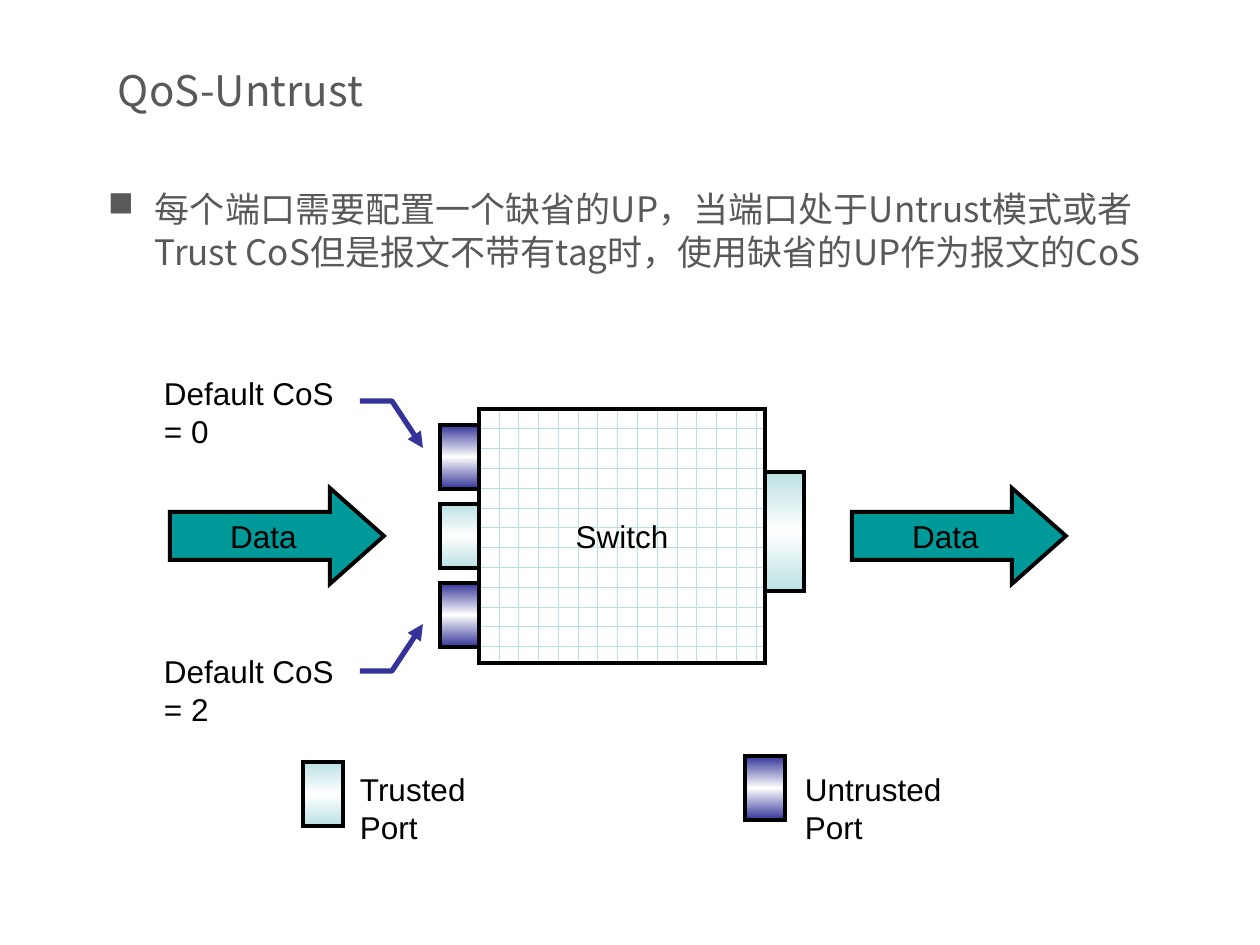
from lxml import etree
from copy import deepcopy
from pptx import Presentation, util as u
from pptx.dml.color import RGBColor
from pptx.enum import dml, shapes, text
from pptx.oxml.ns import qn

PX = u.Inches(1) / 126
COLORS = {
    "grey": "595959", "black": "000000", "white": "FFFFFF",
    "trusted": "BBE0E3", "untrusted": "333399", "data": "009999",
}
LATIN, CHINESE = "Arial", "Noto Sans CJK SC"


def px(*lengths):
    return [round(length * PX) for length in lengths]


def rgb(name):
    return RGBColor.from_string(COLORS[name])


class Sketch:
    """Holds the style and the slide being drawn."""

    def __init__(self, slide):
        self.slide = slide

    def set_text(self, shape, words, font=LATIN, size=18, color="black",
                 insets=(10, 5), wrap=True, anchor=text.MSO_ANCHOR.TOP, align=None):
        frame = shape.text_frame
        frame.word_wrap = wrap
        frame.vertical_anchor = anchor
        across, down = px(*insets)
        frame.margin_left = frame.margin_right = across
        frame.margin_top = frame.margin_bottom = down
        paragraph = frame.paragraphs[0]
        paragraph.text = words
        paragraph.alignment = align
        paragraph.font.name = font
        paragraph.font.size = u.Pt(size)
        paragraph.font.color.rgb = rgb(color)
        east_asian = etree.Element(qn("a:ea"), typeface=font)
        paragraph.font._element.find(qn("a:latin")).addnext(east_asian)
        return paragraph

    def text_box(self, box, words, **style):
        shape = self.slide.shapes.add_textbox(*px(*box))
        return self.set_text(shape, words, **style)

    def bullet(self, box, words, indent, **style):
        paragraph = self.text_box(box, words, **style)
        paragraph.line_spacing = u.Pt(24.3)
        properties = paragraph._p.get_or_add_pPr()
        hanging = px(indent)[0]
        properties.set("marL", str(hanging))
        properties.set("indent", str(-hanging))
        mark = etree.Element(qn("a:buChar"), char="■")
        properties.find(qn("a:defRPr")).addprevious(mark)

    def outlined(self, kind, box, words=None):
        shape = self.slide.shapes.add_shape(kind, *px(*box))
        shape.shadow.inherit = False
        shape.line.color.rgb = rgb("black")
        shape.line.width = u.Pt(2.25)
        etree.SubElement(shape.line._ln, qn("a:miter"), lim="800000")
        if words:
            self.set_text(shape, words, wrap=False, anchor=text.MSO_ANCHOR.MIDDLE,
                          align=text.PP_ALIGN.CENTER)
        return shape

    def switch(self, box, words):
        fill = self.outlined(shapes.MSO_SHAPE.RECTANGLE, box, words).fill
        fill.patterned()
        fill.pattern = dml.MSO_PATTERN.DOTTED_GRID
        fill.fore_color.rgb = rgb("trusted")
        fill.back_color.rgb = rgb("white")

    def port(self, box, kind):
        """Draw a port shaded from its colour to white and back."""
        shape = self.outlined(shapes.MSO_SHAPE.RECTANGLE, box)
        shape.fill.gradient()
        shape.fill.gradient_angle = 270
        stop_list = shape._element.spPr.find(qn("a:gradFill")).find(qn("a:gsLst"))
        stop_list.append(deepcopy(stop_list[0]))
        steps = ((0, kind), (0.5, "white"), (1, kind))
        for stop, (position, color) in zip(shape.fill.gradient_stops, steps):
            stop.position = position
            stop.color.rgb = rgb(color)

    def data_arrow(self, box):
        shape = self.outlined(shapes.MSO_SHAPE.RIGHT_ARROW, box, "Data")
        shape.adjustments[0] = 0.5
        shape.adjustments[1] = 0.563
        shape.fill.solid()
        shape.fill.fore_color.rgb = rgb("data")

    def pointer(self, points):
        """Draw an open bent line with an arrowhead at its end."""
        builder = self.slide.shapes.build_freeform(*points[0], scale=PX)
        builder.add_line_segments(points[1:], close=False)
        shape = builder.convert_to_shape()
        shape.shadow.inherit = False
        shape.fill.background()
        shape.line.color.rgb = rgb("untrusted")
        shape.line.width = u.Pt(3)
        etree.SubElement(shape.line._ln, qn("a:tailEnd"), type="triangle")


def main():
    presentation = Presentation()
    presentation.slide_width, presentation.slide_height = px(1260, 945)
    slide = presentation.slides.add_slide(presentation.slide_layouts[6])
    sketch = Sketch(slide)

    heading = dict(font=CHINESE, color="grey", insets=(13, 6))
    sketch.text_box((105, 53, 1061, 73), "QoS-Untrust", size=24,
                    anchor=text.MSO_ANCHOR.MIDDLE, **heading)
    sketch.bullet(
        (95, 181, 1073, 576),
        "每个端口需要配置一个缺省的UP，当端口处于Untrust模式或者Trust CoS"
        "但是报文不带有tag时，使用缺省的UP作为报文的CoS",
        indent=47, size=20, **heading)

    sketch.switch((479, 409, 286, 254), "Switch")
    sketch.port((765, 472, 39, 119), "trusted")
    for row, kind in enumerate(("untrusted", "trusted", "untrusted")):
        sketch.port((440, 425 + 79 * row, 39, 64), kind)

    for top, cos in ((369, 0), (647, 2)):
        sketch.text_box((154, top, 210, 48), f"Default CoS = {cos}")

    for left, top, kind, gap, width in ((303, 762, "trusted", 47, 174),
                                        (745, 756, "untrusted", 50, 200)):
        sketch.port((left, top, 40, 64), kind)
        sketch.text_box((left + gap, 765, width, 48), f"{kind.title()} Port")

    for start, end in ((401, 448), (671, 624)):
        sketch.pointer([(360, start), (392, start), (423, end)])

    for left in (170, 852):
        sketch.data_arrow((left, 488, 214, 96))

    presentation.save("out.pptx")


if __name__ == "__main__":
    main()
